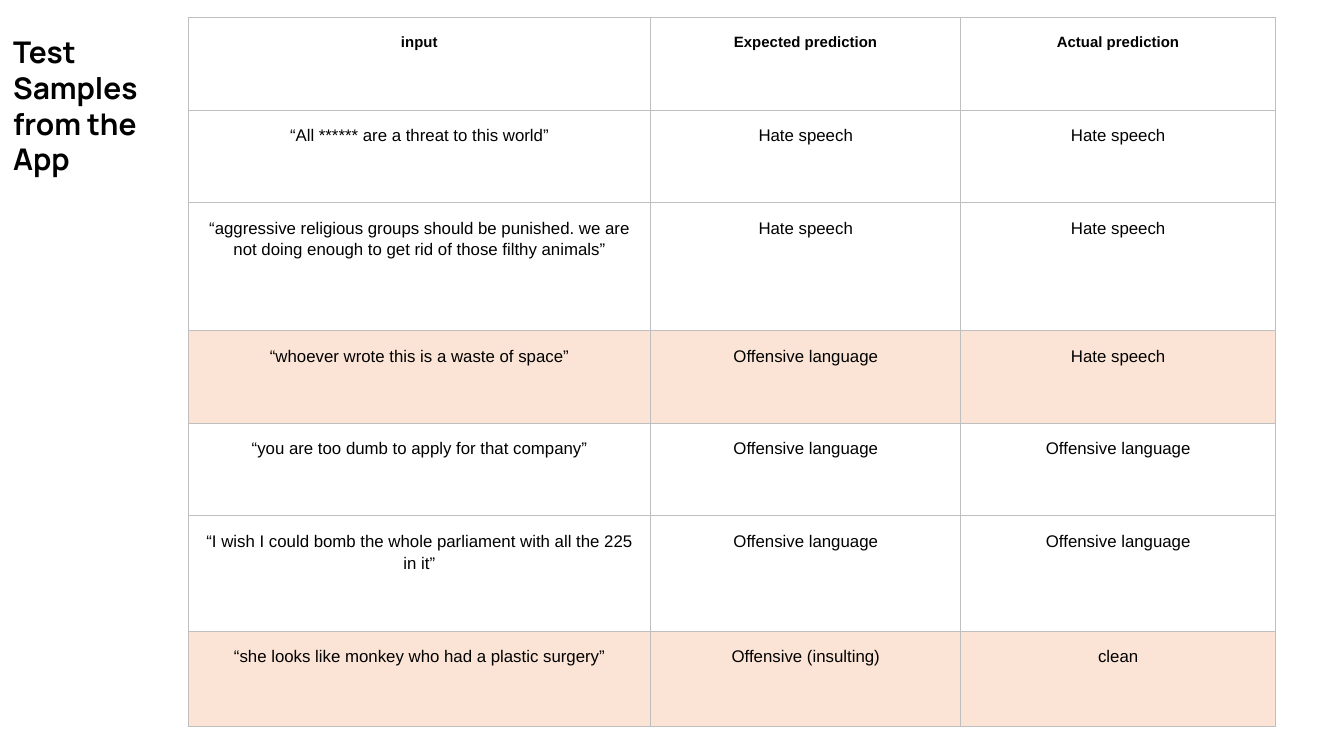
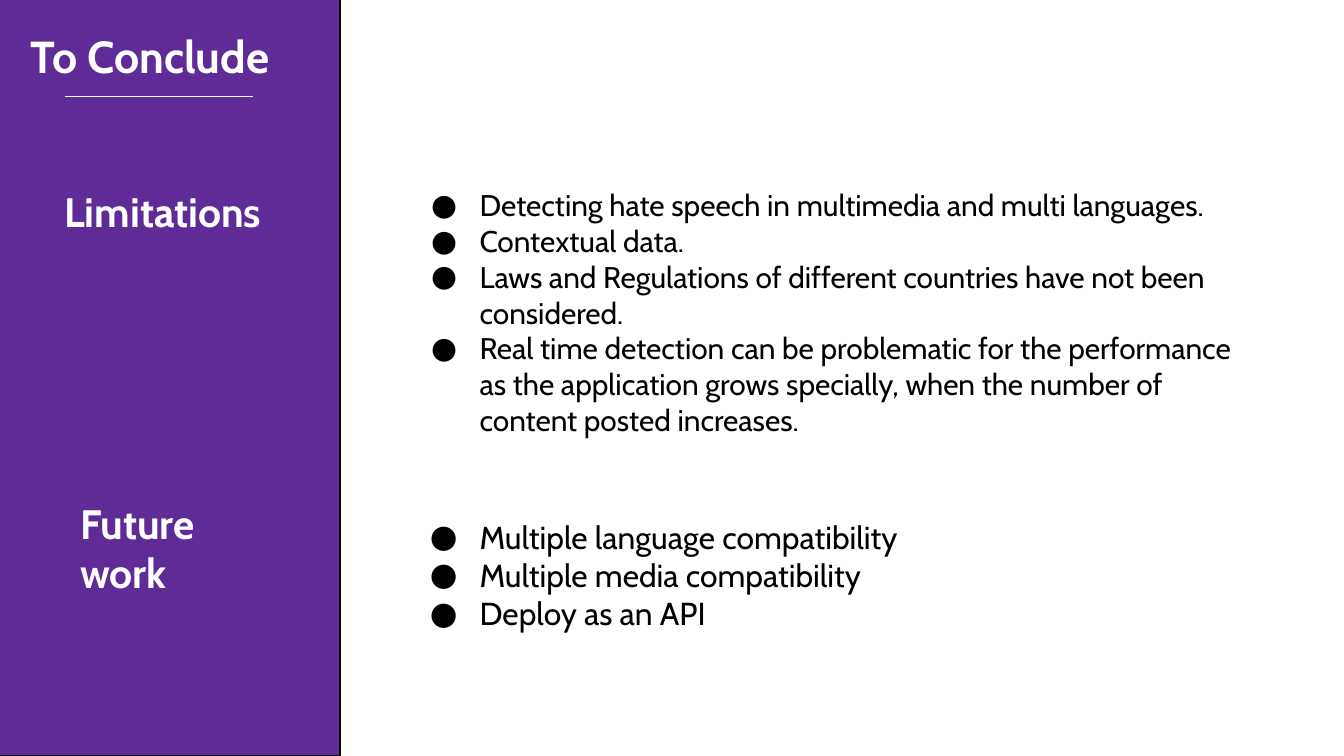
"""Build two slides: app test samples and the conclusion."""
from lxml import etree
from pptx import Presentation
from pptx.dml.color import RGBColor
from pptx.enum.shapes import MSO_CONNECTOR, MSO_SHAPE
from pptx.enum.text import PP_ALIGN
from pptx.oxml.ns import qn
from pptx.util import Inches, Pt

RECTANGLE = MSO_SHAPE.RECTANGLE
STRAIGHT = MSO_CONNECTOR.STRAIGHT
CENTER = PP_ALIGN.CENTER

COLORS = {
    "black": "000000",
    "white": "FFFFFF",
    "purple": "5E2B97",
    "mismatch": "FBE4D5",
    "grid": "BFBFBF",
}
TABLE_FONT = "Arial"
TITLE_FONT = "Manrope"
BODY_FONT = "Cabin"

HATE = "Hate speech"
OFFENSIVE = "Offensive language"
SAMPLES = [
    ("input", "Expected prediction", "Actual prediction"),
    ("“All ****** are a threat to this world”", HATE, HATE),
    ("“aggressive religious groups should be punished. we are not doing "
     "enough to get rid of those filthy animals”", HATE, HATE),
    ("“whoever wrote this is a waste of space”", OFFENSIVE, HATE),
    ("“you are too dumb to apply for that company”", OFFENSIVE, OFFENSIVE),
    ("“I wish I could bomb the whole parliament with all the 225 in it”",
     OFFENSIVE, OFFENSIVE),
    ("“she looks like monkey who had a plastic surgery”",
     "Offensive (insulting)", "clean"),
]
COLUMN_WIDTHS = [3.44, 2.31, 2.34]
ROW_HEIGHTS = [0.69, 0.69, 0.95, 0.69, 0.69, 0.86, 0.71]

LIMITATIONS = [
    "Detecting hate speech in multimedia and multi languages.",
    "Contextual data.",
    "Laws and Regulations of different countries have not been considered.",
    "Real time detection can be problematic for the performance as the "
    "application grows specially, when the number of content posted increases.",
]
FUTURE_WORK = [
    "Multiple language compatibility",
    "Multiple media compatibility",
    "Deploy as an API",
]


def rgb(name):
    return RGBColor.from_string(COLORS[name])


class Deck:
    def __init__(self, width):
        self.deck = Presentation()
        self.deck.slide_width = Inches(width)
        self.deck.slide_height = Inches(width * 9 / 16)
        self.page = None

    def new_page(self):
        self.page = self.deck.slides.add_slide(self.deck.slide_layouts[6])

    def style(self, para, size, font, color, bold):
        for span in para.runs:
            span.font.size = Pt(size)
            span.font.name = font
            span.font.bold = bold
            span.font.color.rgb = rgb(color)

    def text(self, at, lines, size, font=BODY_FONT, color="black", bold=False):
        box = self.page.shapes.add_textbox(*map(Inches, at))
        frame = box.text_frame
        frame.word_wrap = True
        frame.margin_left = frame.margin_right = Inches(0.1)
        frame.margin_top = frame.margin_bottom = Inches(0.1)
        frame.text = "\n".join(lines)
        for para in frame.paragraphs:
            self.style(para, size, font, color, bold)
        return frame

    def heading(self, at, words, size):
        self.text(at, [words], size, color="white", bold=True)

    def bullets(self, at, lines, size, hanging):
        for para in self.text(at, lines, size).paragraphs:
            props = para._p.get_or_add_pPr()
            props.set("marL", str(Inches(0.5)))
            props.set("indent", str(-Inches(hanging)))
            tint = etree.SubElement(props, qn("a:buClr"))
            etree.SubElement(tint, qn("a:srgbClr"), val=COLORS["black"])
            etree.SubElement(props, qn("a:buSzPct"), val="100000")
            etree.SubElement(props, qn("a:buFont"), typeface=BODY_FONT)
            etree.SubElement(props, qn("a:buChar"), char="●")

    def panel(self, at, fill, line):
        panel = self.page.shapes.add_shape(RECTANGLE, *map(Inches, at))
        panel.shadow.inherit = False
        panel.fill.solid()
        panel.fill.fore_color.rgb = rgb(fill)
        panel.line.color.rgb = rgb(line)
        panel.line.width = Pt(0.75)

    def rule(self, left, right, top, color):
        rule = self.page.shapes.add_connector(
            STRAIGHT, Inches(left), Inches(top), Inches(right), Inches(top))
        rule.line.color.rgb = rgb(color)
        rule.line.width = Pt(0.75)
        etree.SubElement(rule._element.spPr, qn("a:effectLst"))

    def borders(self, cell):
        props = cell._tc.get_or_add_tcPr()
        for place, side in enumerate(("lnL", "lnR", "lnT", "lnB")):
            edge = etree.Element(qn(f"a:{side}"), w=str(Pt(0.6)))
            fill = etree.SubElement(edge, qn("a:solidFill"))
            etree.SubElement(fill, qn("a:srgbClr"), val=COLORS["grid"])
            props.insert(place, edge)

    def cell(self, cell, words, header, marked):
        cell.text_frame.text = words
        cell.margin_left = cell.margin_right = Inches(0.08)
        cell.margin_top = cell.margin_bottom = Inches(0.1)
        para = cell.text_frame.paragraphs[0]
        para.alignment = CENTER
        para.line_spacing = 1.15
        para.space_before = para.space_after = Pt(12)
        self.style(para, 8 if header else 9, TABLE_FONT, "black", header)
        if marked:
            cell.fill.solid()
            cell.fill.fore_color.rgb = rgb("mismatch")
        else:
            cell.fill.background()
        self.borders(cell)

    def table(self, left, top, rows, widths, heights):
        table = self.page.shapes.add_table(
            len(rows), len(widths), Inches(left), Inches(top),
            Inches(sum(widths)), Inches(sum(heights))).table
        table.first_row = table.horz_banding = False
        for column, width in zip(table.columns, widths):
            column.width = Inches(width)
        for index, (row, height) in enumerate(zip(rows, heights)):
            table.rows[index].height = Inches(height)
            header = index == 0
            marked = not header and row[1] != row[2]
            for column, words in enumerate(row):
                self.cell(table.cell(index, column), words, header, marked)


def build_samples(deck):
    deck.new_page()
    deck.text((0, 0.15, 1.53, 0.8), ["Test Samples from the App"], 16,
              font=TITLE_FONT, bold=True)
    deck.table(1.4, 0.13, SAMPLES, COLUMN_WIDTHS, ROW_HEIGHTS)


def build_conclusion(deck):
    deck.new_page()
    deck.panel((-0.01, -0.02, 2.54, 5.64), "purple", "black")
    deck.heading((0.13, 0.11, 2.09, 0.61), "To Conclude", 24)
    deck.rule(0.48, 1.88, 0.72, "white")
    deck.heading((0.38, 1.29, 2.09, 0.57), "Limitations", 22)
    deck.bullets((2.97, 1.29, 6.45, 2.09), LIMITATIONS, 16, 0.36)
    deck.heading((0.5, 3.61, 1.57, 0.94), "Future work", 22)
    deck.bullets((2.97, 3.75, 6.36, 1.35), FUTURE_WORK, 17, 0.37)


def main():
    deck = Deck(10)
    build_samples(deck)
    build_conclusion(deck)
    deck.deck.save("out.pptx")


if __name__ == "__main__":
    main()
